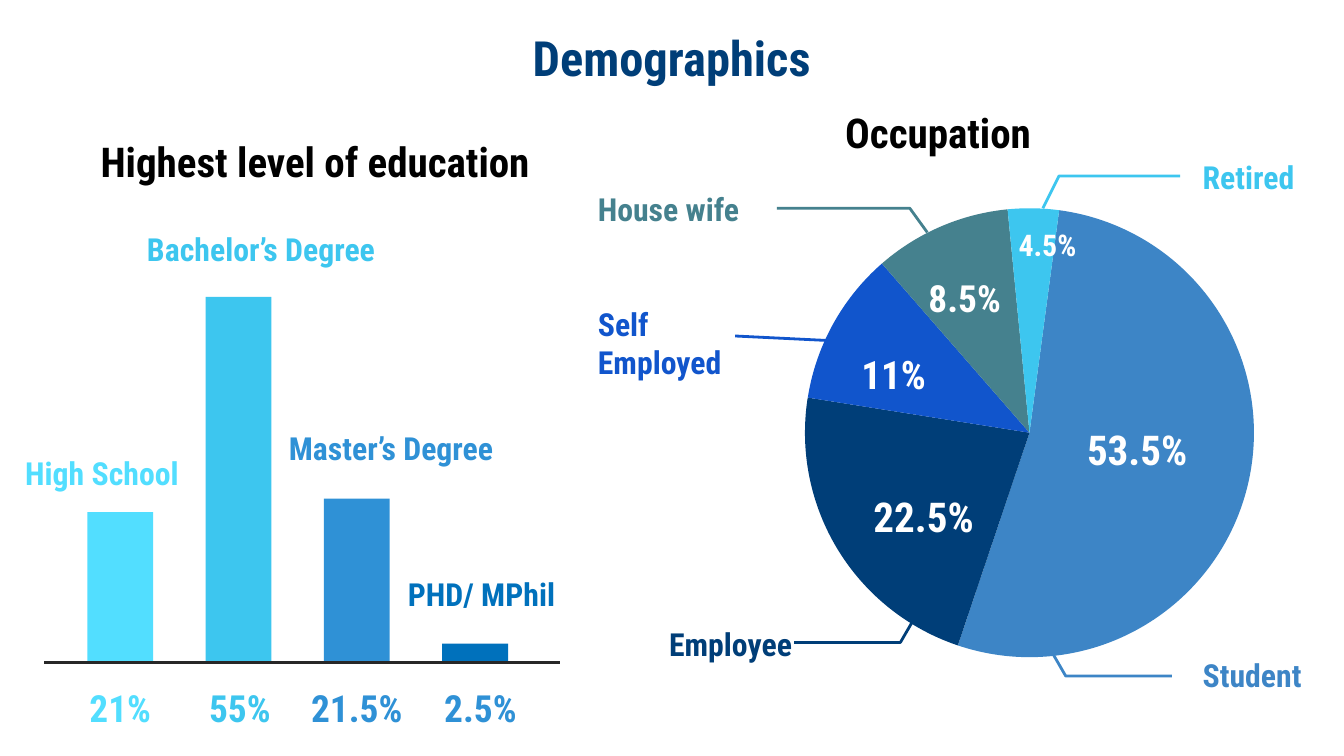
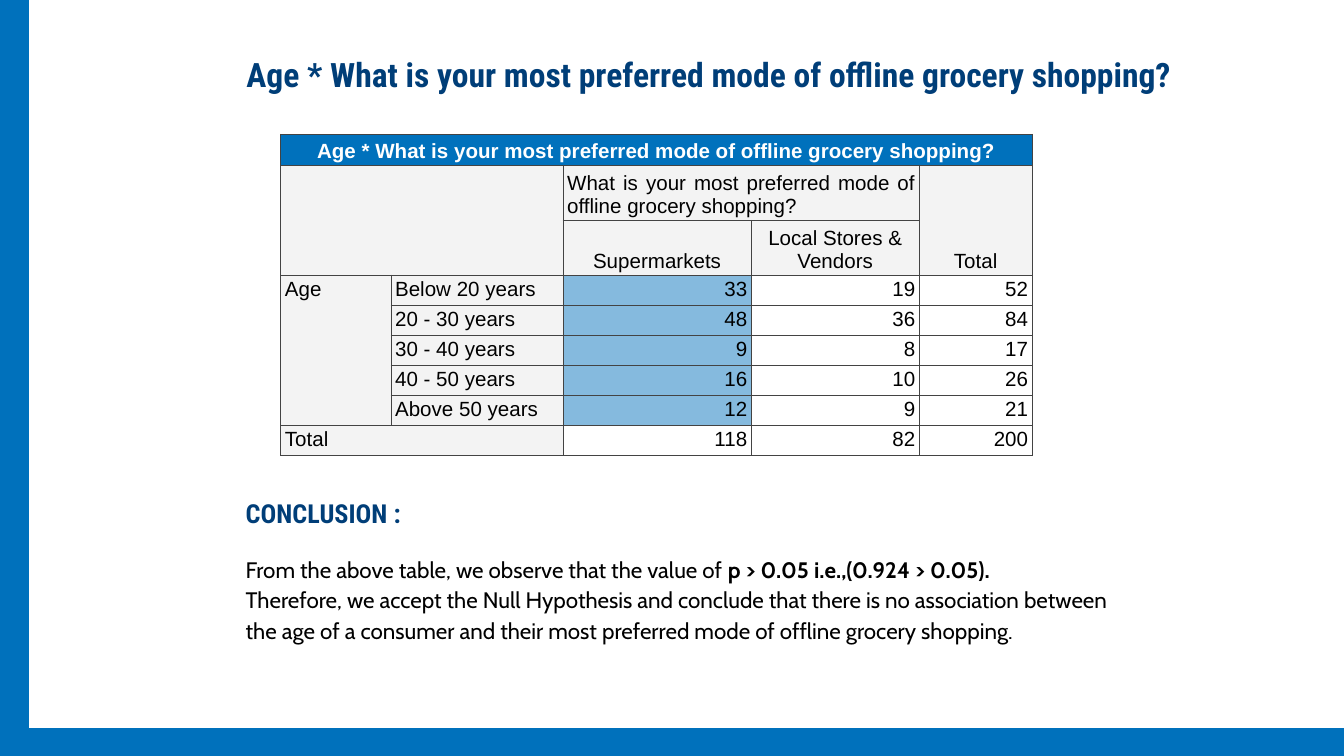
import pptx
import pptx.util
import pptx.dml.color
import pptx.enum.shapes
import pptx.enum.text
import pptx.oxml
import pptx.oxml.ns

RGB = pptx.dml.color.RGBColor
SHAPE = pptx.enum.shapes.MSO_SHAPE
ALIGN = pptx.enum.text.PP_ALIGN
ANCHOR = pptx.enum.text.MSO_ANCHOR
Pt = pptx.util.Pt

PX = 9144  # EMU per px, 100 px to the inch
WIDTH = 1000

NAVY = RGB(0x00, 0x3E, 0x78)
BLUE = RGB(0x00, 0x71, 0xBC)
MID_BLUE = RGB(0x2F, 0x91, 0xD6)
SKY = RGB(0x3D, 0xC6, 0xEF)
CYAN = RGB(0x52, 0xDE, 0xFF)
STEEL = RGB(0x3D, 0x85, 0xC6)
ROYAL = RGB(0x11, 0x55, 0xCC)
TEAL = RGB(0x45, 0x81, 0x8E)
PALE_BLUE = RGB(0x85, 0xBA, 0xDE)
GREY = RGB(0xF3, 0xF3, 0xF3)
INK = RGB(0x27, 0x27, 0x27)
BLACK = RGB(0, 0, 0)
WHITE = RGB(0xFF, 0xFF, 0xFF)
BORDER = "434343"

HEAD_FONT, BODY_FONT, TABLE_FONT = "Roboto Condensed", "Cabin", "Arial"

# Bars: label, label box, height, bar colour, share, share box left and width, share colour
EDUCATION = [
    ("High School", (0, 325, 143, 54), 112, CYAN, "21%", 39, 101, CYAN),
    ("Bachelor’s Degree", (67, 158, 222, 54), 272, SKY, "55%", 142, 73, SKY),
    ("Master’s Degree", (197, 306, 180, 54), 122, MID_BLUE, "21.5%", 215, 101, MID_BLUE),
    ("PHD/ MPhil", (293, 415, 130, 54), 14, BLUE, "2.5%", 307, 101, MID_BLUE),
]
BAR_LEFT, BAR_STEP, BAR_WIDTH, BASELINE = 65, 88, 49, 493

# Slices, clockwise: label, label box, start angle, colour, share, share box, share size, leader
OCCUPATION = [
    ("Student", (885, 478, 112, 49), 277.6, STEEL, "53.5%", (799, 306, 97, 57), 22,
     [(782, 484), (793, 503), (872, 503)]),
    ("Employee", (488, 455, 112, 49), 108.6, NAVY, "22.5%", (640, 356, 112, 57), 22,
     [(681, 459), (670, 478), (591, 478)]),
    ("Self Employed", (435, 217, 112, 77), 189, ROYAL, "11%", (631, 251, 78, 56), 21,
     [(547, 250), (690, 257)]),
    ("House wife", (435, 131, 143, 49), 228.9, TEAL, "8.5%", (681, 195, 89, 54), 20,
     [(690, 173), (677, 155), (578, 155)]),
    ("Retired", (885, 107, 107, 49), 264.4, SKY, "4.5%", (748, 159, 101, 47), 16,
     [(776, 155), (788, 131), (878, 131)]),
]
PIE_BOX = (599, 155, 334, 334)

QUESTION = "What is your most preferred mode of offline grocery shopping?"
AGE_TITLE = "Age * " + QUESTION
AGE_ROWS = [
    (AGE_TITLE, "", "", "", ""),
    ("", "", QUESTION, "", "Total"),
    ("", "", "Supermarkets", "Local Stores & Vendors", ""),
    ("Age", "Below 20 years", "33", "19", "52"),
    ("", "20 - 30 years", "48", "36", "84"),
    ("", "30 - 40 years", "9", "8", "17"),
    ("", "40 - 50 years", "16", "10", "26"),
    ("", "Above 50 years", "12", "9", "21"),
    ("Total", "", "118", "82", "200"),
]
HEADER_ROWS = 3
TOTAL_ROW = len(AGE_ROWS) - 1
MERGES = [((0, 0), (0, 4)), ((1, 0), (2, 1)), ((1, 2), (1, 3)),
          ((1, 4), (2, 4)), ((3, 0), (7, 0)), ((8, 0), (8, 1))]
COLUMN_WIDTHS = [82, 128, 140, 125, 84]
ROW_HEIGHTS = [23, 41, 40] + [22] * 6

# Paragraphs of (text, bold) spans
CONCLUSION = [
    [("From the above table, we observe that the value of ", False),
     ("p > 0.05 i.e.,(0.924 > 0.05).", True)],
    [("Therefore, we accept the Null Hypothesis and conclude that there is no association "
      "between the age of a consumer and their most preferred mode of offline grocery "
      "shopping.", False)],
]


def emu(values):
    return [value * PX for value in values]


def style(font, size, color, name=HEAD_FONT, bold=True):
    font.size, font.name, font.bold = Pt(size), name, bold
    font.color.rgb = color


def add_text(page, bounds, text, size, color, align=ALIGN.LEFT, anchor=ANCHOR.TOP):
    frame = page.shapes.add_textbox(*emu(bounds)).text_frame
    frame.word_wrap = True
    frame.vertical_anchor = anchor
    frame.margin_left = frame.margin_right = frame.margin_top = frame.margin_bottom = 10 * PX
    frame.text = text
    para = frame.paragraphs[0]
    para.alignment = align
    style(para.runs[0].font, size, color)
    return frame


def add_title(page, top, text, size):
    return add_text(page, (50, top, 900, 54), text, size, NAVY, ALIGN.CENTER).paragraphs[0]


def add_solid(page, kind, bounds, color):
    shape = page.shapes.add_shape(kind, *emu(bounds))
    shape.shadow.inherit = False
    shape.fill.solid()
    shape.fill.fore_color.rgb = color
    shape.line.fill.background()
    return shape


def add_line(page, points, color):
    """Draw a straight connector for two points, an open outline for more."""
    if len(points) == 2:
        line = page.shapes.add_connector(
            pptx.enum.shapes.MSO_CONNECTOR.STRAIGHT, *emu(points[0] + points[1]))
        effects = pptx.oxml.ns.qn("a:effectLst")
        line._element.spPr.append(line._element.makeelement(effects, {}))
    else:
        builder = page.shapes.build_freeform(*points[0], scale=PX)
        builder.add_line_segments(points[1:], close=False)
        line = builder.convert_to_shape()
        line.shadow.inherit = False
        line.fill.background()
    line.line.color.rgb = color
    line.line.width = Pt(1.5)


def draw_education(page):
    add_text(page, (65, 76, 341, 88), "Highest level of education", 22, BLACK,
             anchor=ANCHOR.MIDDLE)
    for index, bar in enumerate(EDUCATION):
        label, label_box, height, color, share, share_left, share_width, share_color = bar
        left = BAR_LEFT + index * BAR_STEP
        add_solid(page, SHAPE.RECTANGLE, (left, BASELINE - height, BAR_WIDTH, height), color)
        add_text(page, label_box, label, 17, color, ALIGN.RIGHT, ANCHOR.MIDDLE)
        add_text(page, (share_left, 502, share_width, 49), share, 20, share_color,
                 ALIGN.CENTER, ANCHOR.MIDDLE)
    add_line(page, [(33, BASELINE), (417, BASELINE)], INK)


def draw_occupation(page):
    add_text(page, (619, 67, 308, 62), "Occupation", 22, BLACK, anchor=ANCHOR.MIDDLE)
    starts = [entry[2] for entry in OCCUPATION]
    ends = starts[1:] + starts[:1]
    for entry, start, end in zip(OCCUPATION, starts, ends):
        pie = add_solid(page, SHAPE.PIE, PIE_BOX, entry[3])
        # An angle counts 60000 to the degree, an adjustment 100000 to the unit
        pie.adjustments[0], pie.adjustments[1] = start * 0.6, end * 0.6
    for label, label_box, _, color, share, share_box, size, leader in OCCUPATION:
        add_line(page, leader, color)
        align = ALIGN.JUSTIFY if " E" in label else ALIGN.LEFT
        add_text(page, label_box, label, 17, color, align)
        add_text(page, share_box, share, size, WHITE)


def add_borders(cell):
    properties = cell._tc.get_or_add_tcPr()
    for side in ("lnL", "lnR", "lnT", "lnB"):
        properties.append(pptx.oxml.parse_xml(
            f'<a:{side} {pptx.oxml.ns.nsdecls("a")} w="6350"><a:solidFill>'
            f'<a:srgbClr val="{BORDER}"/></a:solidFill></a:{side}>'))


def cell_fill(row, column):
    if row == 0:
        return BLUE
    if row < HEADER_ROWS or column < 2:
        return GREY
    return PALE_BLUE if column == 2 and row < TOTAL_ROW else WHITE


def cell_align(row, column, text):
    if text == QUESTION:
        return ALIGN.JUSTIFY
    if row < HEADER_ROWS:
        return ALIGN.CENTER
    return (ALIGN.JUSTIFY, ALIGN.LEFT)[column] if column < 2 else ALIGN.RIGHT


def draw_age_table(page):
    bounds = (209, 100, sum(COLUMN_WIDTHS), sum(ROW_HEIGHTS))
    table = page.shapes.add_table(len(AGE_ROWS), len(COLUMN_WIDTHS), *emu(bounds)).table
    table.first_row = table.horz_banding = False
    for column, width in zip(table.columns, COLUMN_WIDTHS):
        column.width = width * PX
    for row, height in zip(table.rows, ROW_HEIGHTS):
        row.height = height * PX
    for row, texts in enumerate(AGE_ROWS):
        for column, text in enumerate(texts):
            cell = table.cell(row, column)
            cell.margin_left = cell.margin_right = 3 * PX
            cell.margin_top = cell.margin_bottom = 2 * PX
            cell.vertical_anchor = ANCHOR.BOTTOM if row < HEADER_ROWS else ANCHOR.TOP
            add_borders(cell)
            cell.fill.solid()
            cell.fill.fore_color.rgb = cell_fill(row, column)
            cell.text_frame.text = text
            para = cell.text_frame.paragraphs[0]
            para.alignment = cell_align(row, column, text)
            for item in (para, *para.runs):
                style(item.font, 11, BLACK if row else WHITE, TABLE_FONT, row == 0)
    for first, last in MERGES:
        table.cell(*first).merge(table.cell(*last))


def draw_conclusion(page):
    frame = add_text(page, (173, 357, 677, 220), "CONCLUSION :", 14, NAVY)
    for spans in CONCLUSION:
        para = frame.add_paragraph()
        for text, bold in spans:
            span = para.add_run()
            span.text = text
            style(span.font, 12, BLACK, BODY_FONT, bold)
    for para in frame.paragraphs:
        para.line_spacing = 1.15
    frame.paragraphs[1].space_before = Pt(12)


def draw_frame(page):
    for bounds in [(0, 0, 21, 562), (21, 542, 981, 21)]:
        band = add_solid(page, SHAPE.RECTANGLE, bounds, BLUE)
        band.line.color.rgb = BLUE
        band.line.width = Pt(0.75)


def main():
    deck = pptx.Presentation()
    deck.slide_width = WIDTH * PX
    deck.slide_height = WIDTH * PX * 9 // 16
    blank = deck.slide_layouts[6]

    page = deck.slides.add_slide(blank)
    add_title(page, 11, "Demographics", 26)
    draw_education(page)
    draw_occupation(page)

    page = deck.slides.add_slide(blank)
    title = add_title(page, 26, AGE_TITLE, 18)
    title.line_spacing = 1.15
    title._p.get_or_add_pPr().set("marL", str(55 * PX))
    draw_conclusion(page)
    draw_frame(page)
    draw_age_table(page)

    deck.save("out.pptx")


if __name__ == "__main__":
    main()
